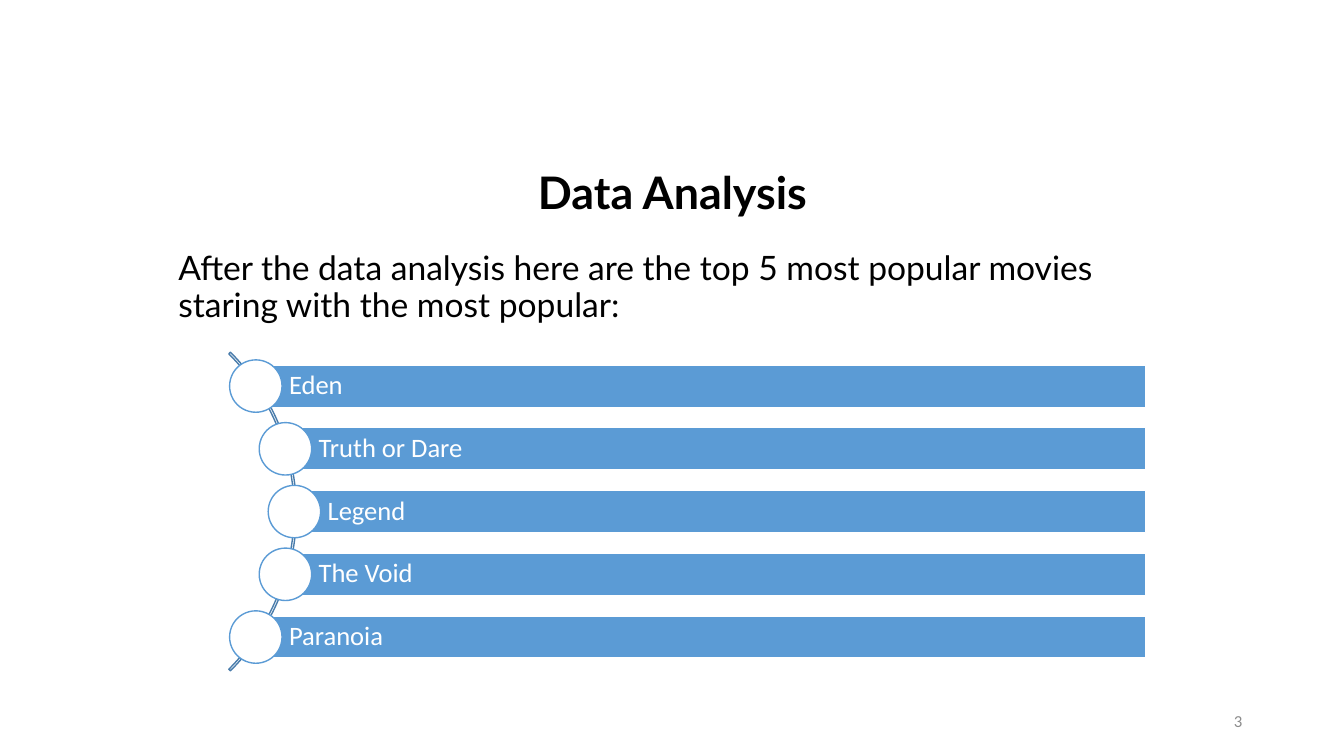
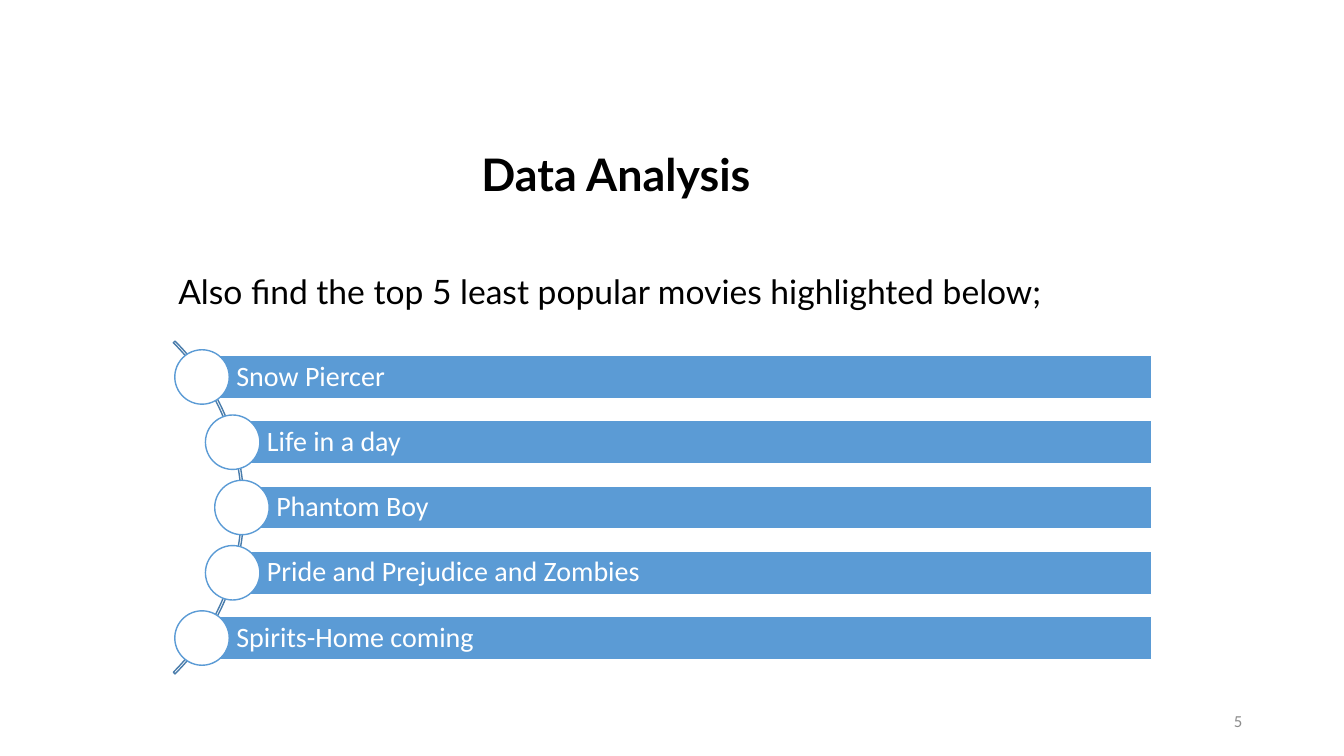
import math
from pptx import Presentation
from pptx import util as u
from pptx.dml.color import RGBColor
from pptx.enum import shapes, text

# Content: boxes are (left, top, width, height) in px, 100 px to the inch
TITLE = "Data Analysis"
SLIDES = [
    dict(
        page="3",
        title=(167, 123, 1000, 99),
        lead="After the data analysis here are the top 5 most popular movies "
             "staring with the most popular:",
        intro=(167, 245, 1000, 404),
        movies=["Eden", "Truth or Dare", "Legend", "The Void", "Paranoia"],
        arc=(-153, 284, 447), span=249, right=1136,
        bar=42, dot=52, inset=33, pad=5, size=19,
    ),
    dict(
        page="5",
        title=(167, 106, 888, 99),
        lead="Also find the top 5 least popular movies highlighted below;",
        intro=(167, 268, 1000, 418),
        movies=["Snow Piercer", "Life in a day", "Phantom Boy",
                "Pride and Prejudice and Zombies", "Spirits-Home coming"],
        arc=(-225, 270, 467), span=259, right=1142,
        bar=43, dot=54, inset=34, pad=6, size=20,
    ),
]
PAGE = (942, 695, 300, 40)

THEME = dict(
    ink="000000", white="FFFFFF", bar="5B9BD5", arc="497CAB", gray="8C8C8C",
    head="Lato", body="Calibri", title=32, lead=24, page=12, line=1,
)
ALIGN = text.PP_ALIGN
ANCHOR = text.MSO_ANCHOR
KIND = shapes.MSO_SHAPE


def px(n):
    return u.Emu(round(n * 9144))


def rgb(name):
    return RGBColor.from_string(THEME[name])


def write(shape, words, size, font, color, align=ALIGN.LEFT,
          anchor=ANCHOR.TOP, bold=False, lines=0.9, before=0):
    frame = shape.text_frame
    frame.word_wrap = True
    frame.auto_size = text.MSO_AUTO_SIZE.NONE
    frame.vertical_anchor = anchor
    para = frame.paragraphs[0]
    para.alignment = align
    para.line_spacing = lines
    para.space_before = u.Pt(before)
    run = para.add_run()
    run.text = words
    run.font.size = u.Pt(size)
    run.font.name = THEME[font]
    run.font.bold = bold
    run.font.color.rgb = rgb(color)
    return frame


def draw(slide, kind, box, line, fill=None):
    shape = slide.shapes.add_shape(kind, *map(px, box))
    shape.shadow.inherit = False
    if fill:
        shape.fill.solid()
        shape.fill.fore_color.rgb = rgb(fill)
    else:
        shape.fill.background()
    shape.line.color.rgb = rgb(line)
    shape.line.width = u.Pt(THEME["line"])
    return shape


def add_title(slide, box):
    title = slide.shapes.title
    title.left, title.top, title.width, title.height = map(px, box)
    write(title, TITLE, THEME["title"], "head", "ink",
          ALIGN.CENTER, ANCHOR.BOTTOM, bold=True)


def add_list(slide, data):
    # Thin arc, from -45 to 45 degrees
    left, top, size = data["arc"]
    arc = draw(slide, KIND.BLOCK_ARC, (left, top, size, size), "arc")
    for i, value in enumerate((189, 27, 0.005)):
        arc.adjustments[i] = value

    # Each dot is centred on the arc, and its bar starts at the dot's centre
    radius = size / 2
    mid_x, mid_y = left + radius, top + radius
    count = len(data["movies"])
    step = data["span"] / (count - 1)
    high, dot = data["bar"], data["dot"]
    for i, movie in enumerate(data["movies"]):
        rise = (i - (count - 1) / 2) * step
        x = mid_x + math.sqrt((radius - 2) ** 2 - rise ** 2)
        y = mid_y + rise
        bar = draw(slide, KIND.RECTANGLE,
                   (x, y - high / 2, data["right"] - x, high), "white", "bar")
        frame = write(bar, movie, data["size"], "body", "white",
                      anchor=ANCHOR.MIDDLE)
        frame.margin_left = px(data["inset"])
        frame.margin_top = frame.margin_right = px(data["pad"])
        frame.margin_bottom = px(data["pad"])
        draw(slide, KIND.OVAL, (x - dot / 2, y - dot / 2, dot, dot),
             "bar", "white")


def main():
    deck = Presentation()
    deck.slide_width, deck.slide_height = px(1333), px(750)
    for data in SLIDES:
        slide = deck.slides.add_slide(deck.slide_layouts[5])
        add_title(slide, data["title"])
        # Lead sentence
        lead = slide.shapes.add_textbox(*map(px, data["intro"]))
        write(lead, data["lead"], THEME["lead"], "head", "ink", before=10)
        # Page number
        page = slide.shapes.add_textbox(*map(px, PAGE))
        write(page, data["page"], THEME["page"], "body", "gray",
              ALIGN.RIGHT, ANCHOR.MIDDLE, lines=1.0)
        add_list(slide, data)
    deck.save("out.pptx")


if __name__ == "__main__":
    main()
